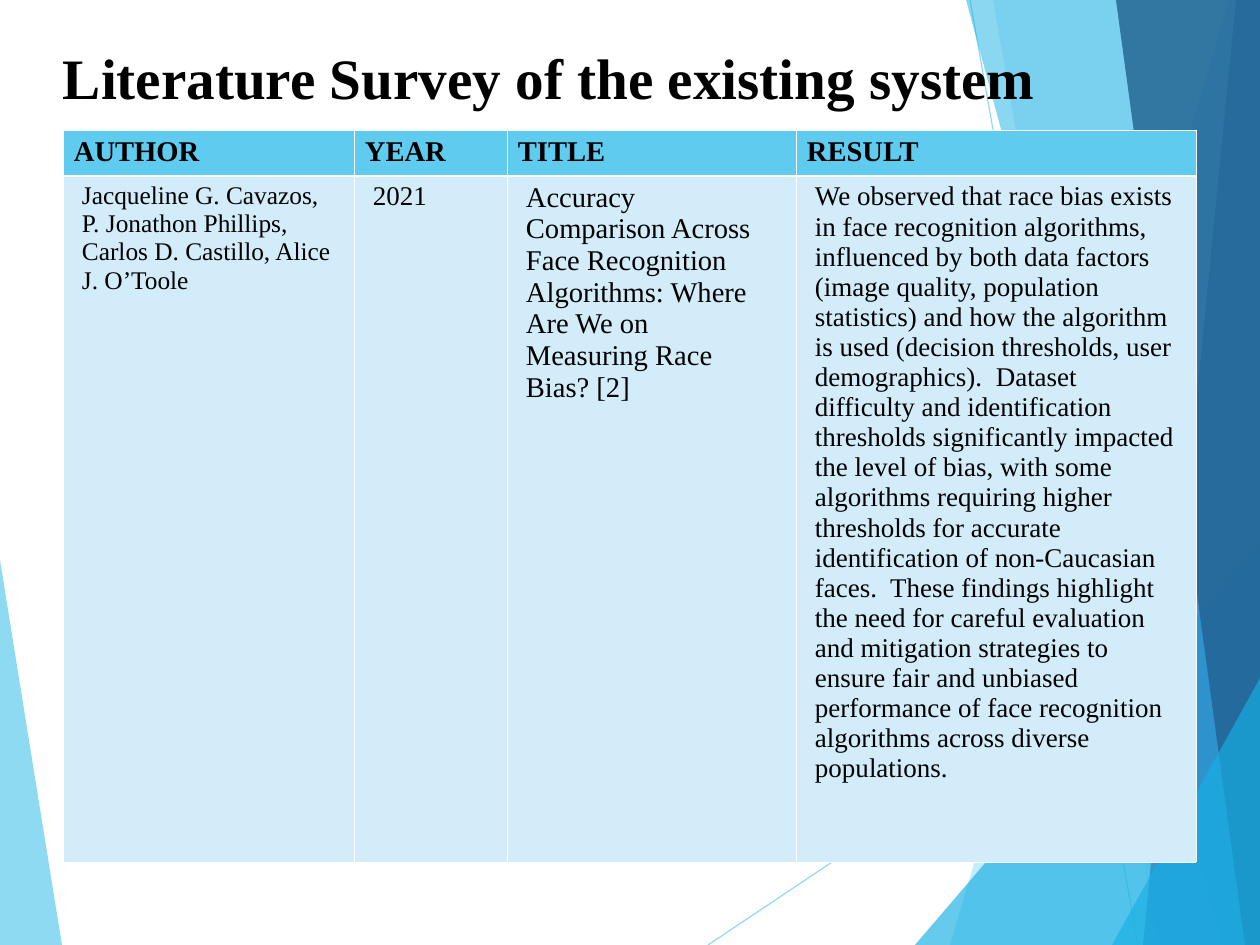
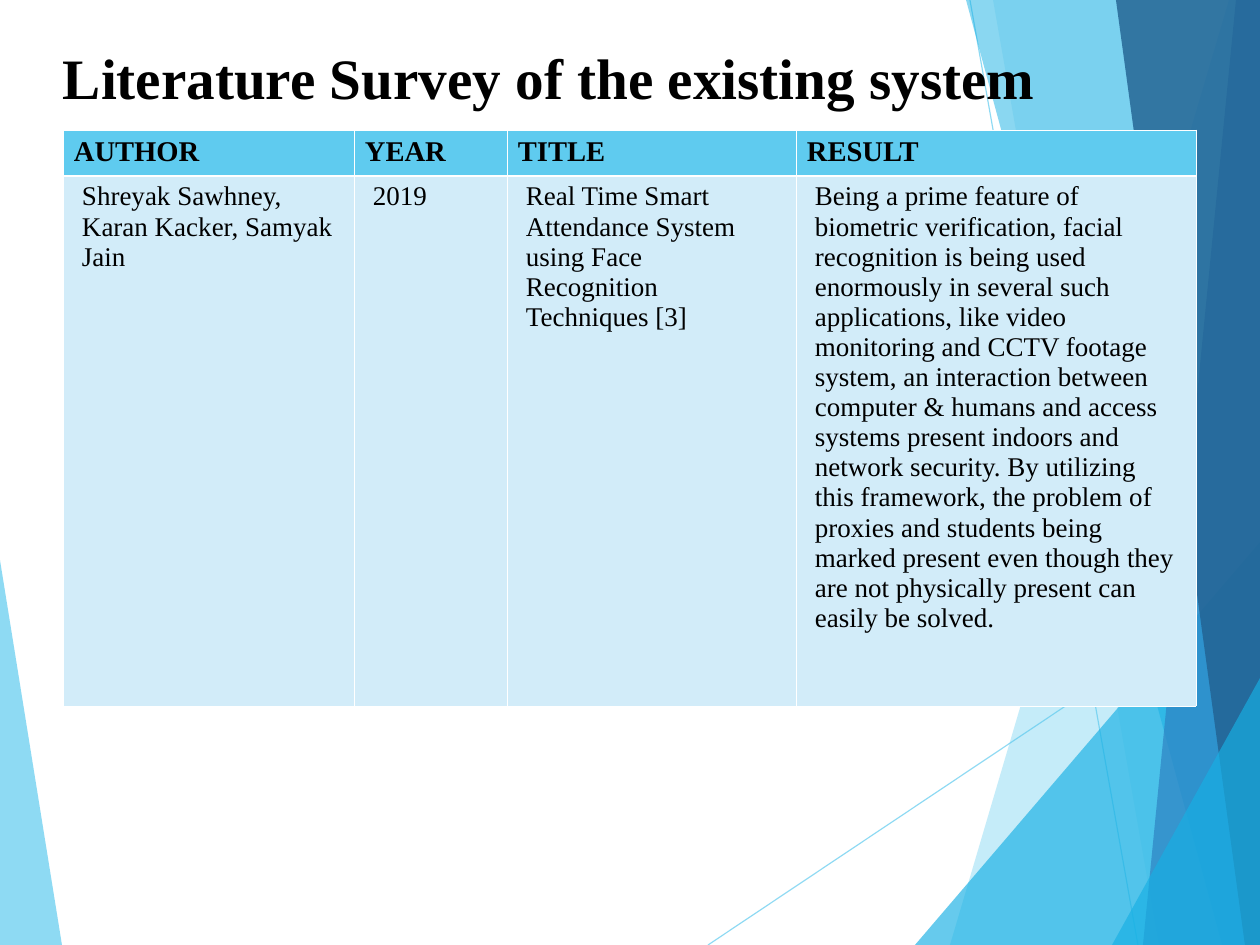
import lxml.etree
import pptx
import pptx.dml.color
import pptx.enum.shapes
import pptx.enum.text
import pptx.oxml.ns
import pptx.util

EMU_PER_PX = 8000  # 45 px to the centimetre
SLIDE_WIDTH, SLIDE_HEIGHT = 1260, 945

RGBColor = pptx.dml.color.RGBColor
BLACK = RGBColor(0x00, 0x00, 0x00)
WHITE = RGBColor(0xFF, 0xFF, 0xFF)
SKY = RGBColor(0x5F, 0xCB, 0xEF)
CYAN = RGBColor(0x17, 0xB0, 0xE4)
BLUE = RGBColor(0x2E, 0x83, 0xC3)
NAVY = RGBColor(0x23, 0x62, 0x92)
PALE = RGBColor(0xD2, 0xEC, 0xF9)

FONT = "Times New Roman"
TITLE = "Literature Survey of the existing system"
HEADERS = ["AUTHOR", "YEAR", "TITLE", "RESULT"]

# Content edges and table grid
LEFT = 63
TITLE_HEIGHT = 158
TABLE_TOP = 130
COLUMN_WIDTHS = [291, 153, 289, 400]
CONTENT_WIDTH = sum(COLUMN_WIDTHS)
HEADER_HEIGHT = 46
THIN, THICK = 0.45, 1.47

# Backdrop: thin lines (start, end), then facets (colour, opacity %, corners)
BOTTOM_RIGHT = (SLIDE_WIDTH, SLIDE_HEIGHT)
RIGHT_EDGE = [BOTTOM_RIGHT, (SLIDE_WIDTH, 0)]
BACKDROP_LINES = [((708, 945), (1260, 576)), ((970, 0), (1138, 945))]
LEFT_FACET = (SKY, 70, [(0, 560), (62, 945), (0, 945)])
RIGHT_FACETS = [
    (SKY, 36, [(1229, 0), (950, 945)] + RIGHT_EDGE),
    (SKY, 20, [(993, 0), (1159, 945)] + RIGHT_EDGE),
    (CYAN, 66, [(915, 945), (1260, 542), BOTTOM_RIGHT]),
    (CYAN, 50, [(966, 0), (1222, 945)] + RIGHT_EDGE),
    (BLUE, 70, [(1236, 0), (1143, 945)] + RIGHT_EDGE),
    (NAVY, 82, [(1116, 0), (1245, 945)] + RIGHT_EDGE),
    (CYAN, 66, [(1112, 945), (1260, 678), BOTTOM_RIGHT]),
]

# Each survey: body row height, then (text, point size) for each column
SURVEYS = [
    (686, [
        ("Jacqueline G. Cavazos, P. Jonathon Phillips, Carlos D. Castillo, "
         "Alice J. O’Toole", 16),
        ("2021", 17),
        ("Accuracy Comparison Across Face Recognition Algorithms: Where Are "
         "We on Measuring Race Bias? [2]", 18),
        ("We observed that race bias exists in face recognition algorithms, "
         "influenced by both data factors (image quality, population "
         "statistics) and how the algorithm is used (decision thresholds, "
         "user demographics).  Dataset difficulty and identification "
         "thresholds significantly impacted the level of bias, with some "
         "algorithms requiring higher thresholds for accurate identification "
         "of non-Caucasian faces.  These findings highlight the need for "
         "careful evaluation and mitigation strategies to ensure fair and "
         "unbiased performance of face recognition algorithms across diverse "
         "populations.", 17),
    ]),
    (530, [
        ("Shreyak Sawhney, Karan Kacker, Samyak Jain", 17),
        ("2019", 17),
        ("Real Time Smart Attendance System using Face Recognition "
         "Techniques [3]", 17),
        ("Being a prime feature of biometric verification, facial recognition "
         "is being used enormously in several such applications, like video "
         "monitoring and CCTV footage system, an interaction between computer "
         "& humans and access systems present indoors and network security. "
         "By utilizing this framework, the problem of proxies and students "
         "being marked present even though they are not physically present "
         "can easily be solved.", 17),
    ]),
]


def px(length):
    return pptx.util.Emu(length * EMU_PER_PX)


def add_xml(parent, tag, **attributes):
    return lxml.etree.SubElement(parent, pptx.oxml.ns.qn(tag), attributes)


def set_opacity(shape, percent):
    for color in shape.element.xpath("./p:spPr//a:srgbClr"):
        add_xml(color, "a:alpha", val=str(percent * 1000))


def style_text(paragraph, text, size, bold=False):
    paragraph.text = text
    font = paragraph.font
    font.name = FONT
    font.size = pptx.util.Pt(size)
    font.bold = bold
    font.color.rgb = BLACK


def add_facet(slide, color, opacity, corners):
    builder = slide.shapes.build_freeform(*corners[0], scale=EMU_PER_PX)
    builder.add_line_segments(corners[1:], close=True)
    shape = builder.convert_to_shape()
    shape.shadow.inherit = False
    shape.fill.solid()
    shape.fill.fore_color.rgb = color
    shape.line.fill.background()
    set_opacity(shape, opacity)


def add_thin_line(slide, start, end):
    connector = slide.shapes.add_connector(
        pptx.enum.shapes.MSO_CONNECTOR.STRAIGHT,
        *(px(value) for value in start + end))
    connector.line.color.rgb = SKY
    connector.line.width = pptx.util.Pt(0.75)
    set_opacity(connector, 70)
    add_xml(connector.element.spPr, "a:effectLst")


def add_backdrop(slide):
    add_facet(slide, *LEFT_FACET)
    for start, end in BACKDROP_LINES:
        add_thin_line(slide, start, end)
    for facet in RIGHT_FACETS:
        add_facet(slide, *facet)


def add_title(slide):
    box = slide.shapes.add_textbox(
        px(LEFT), 0, px(CONTENT_WIDTH), px(TITLE_HEIGHT))
    frame = box.text_frame
    frame.word_wrap = True
    frame.vertical_anchor = pptx.enum.text.MSO_ANCHOR.MIDDLE
    frame.margin_left = frame.margin_right = frame.margin_bottom = 0
    frame.margin_top = px(3)
    paragraph = frame.paragraphs[0]
    style_text(paragraph, TITLE, 36, bold=True)
    paragraph.line_spacing = 0.93


def set_borders(cell, top, bottom):
    """White borders; they must precede the fill in the cell properties."""
    properties = cell._tc.get_or_add_tcPr()
    sides = [("L", THIN), ("R", THIN), ("T", top), ("B", bottom)]
    for index, (side, points) in enumerate(sides):
        line = add_xml(properties, "a:ln" + side,
                       w=str(int(pptx.util.Pt(points))))
        fill = add_xml(line, "a:solidFill")
        add_xml(fill, "a:srgbClr", val=str(WHITE))
        properties.insert(index, line)


def style_cell(cell, fill, side_margin, top, bottom):
    cell.fill.solid()
    cell.fill.fore_color.rgb = fill
    cell.margin_left = cell.margin_right = px(side_margin)
    cell.margin_top = cell.margin_bottom = pptx.util.Inches(0.05)
    set_borders(cell, top, bottom)


def add_survey_table(slide, body_height, entries):
    table = slide.shapes.add_table(
        2, len(HEADERS), px(LEFT), px(TABLE_TOP), px(CONTENT_WIDTH),
        px(HEADER_HEIGHT + body_height)).table
    table.horz_banding = False
    table.rows[0].height = px(HEADER_HEIGHT)
    table.rows[1].height = px(body_height)
    columns = zip(COLUMN_WIDTHS, HEADERS, entries)
    for index, (width, header, (text, size)) in enumerate(columns):
        table.columns[index].width = px(width)

        header_cell = table.cell(0, index)
        style_cell(header_cell, SKY, 11, THIN, THICK)
        paragraph = header_cell.text_frame.paragraphs[0]
        style_text(paragraph, header, 18, bold=True)
        paragraph.alignment = pptx.enum.text.PP_ALIGN.JUSTIFY

        body_cell = table.cell(1, index)
        style_cell(body_cell, PALE, 19, THICK, THIN)
        style_text(body_cell.text_frame.paragraphs[0], text, size)


def main():
    presentation = pptx.Presentation()
    presentation.slide_width = px(SLIDE_WIDTH)
    presentation.slide_height = px(SLIDE_HEIGHT)
    blank_layout = presentation.slide_layouts[6]
    for body_height, entries in SURVEYS:
        slide = presentation.slides.add_slide(blank_layout)
        add_backdrop(slide)
        add_title(slide)
        add_survey_table(slide, body_height, entries)
    presentation.save("out.pptx")


if __name__ == "__main__":
    main()
